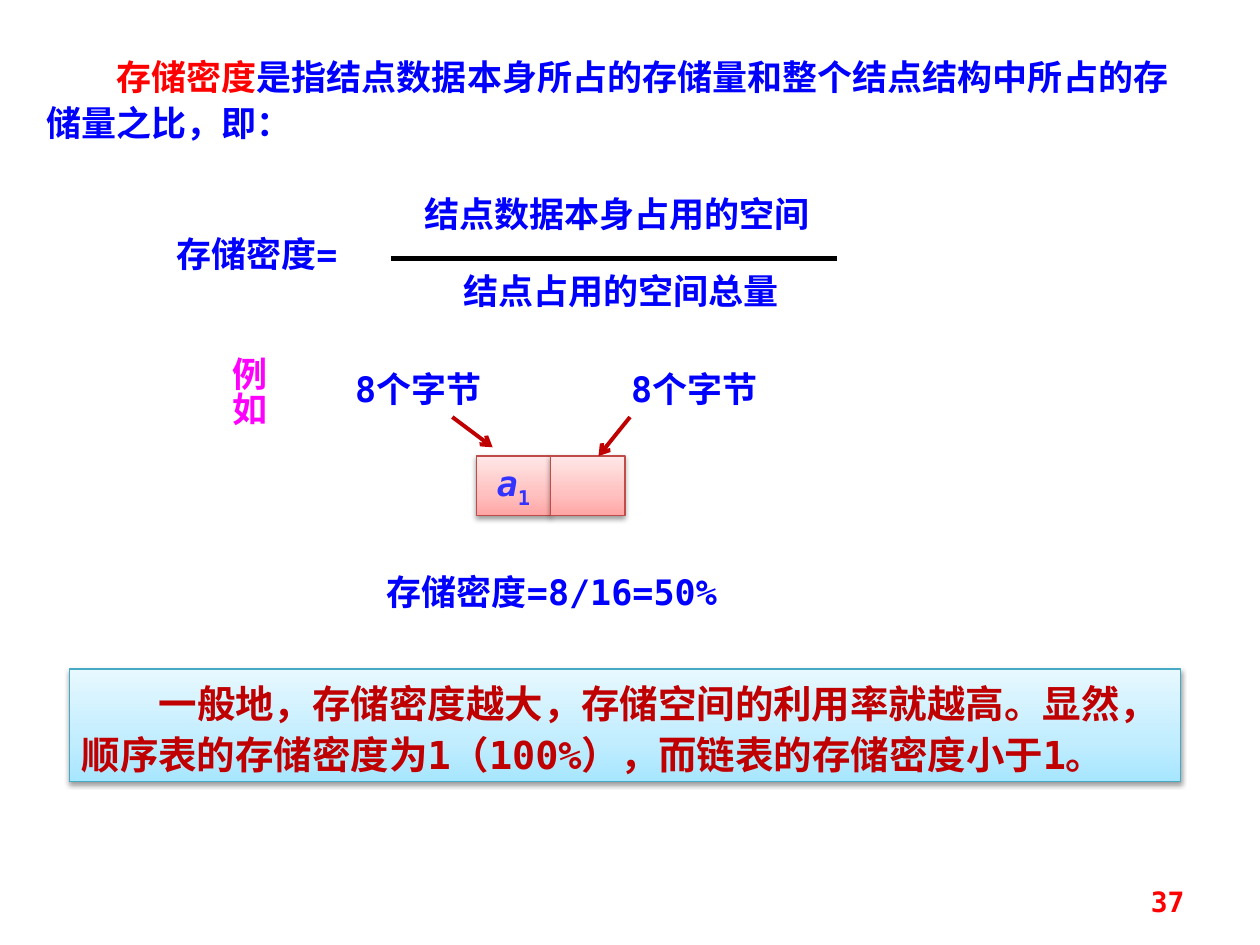
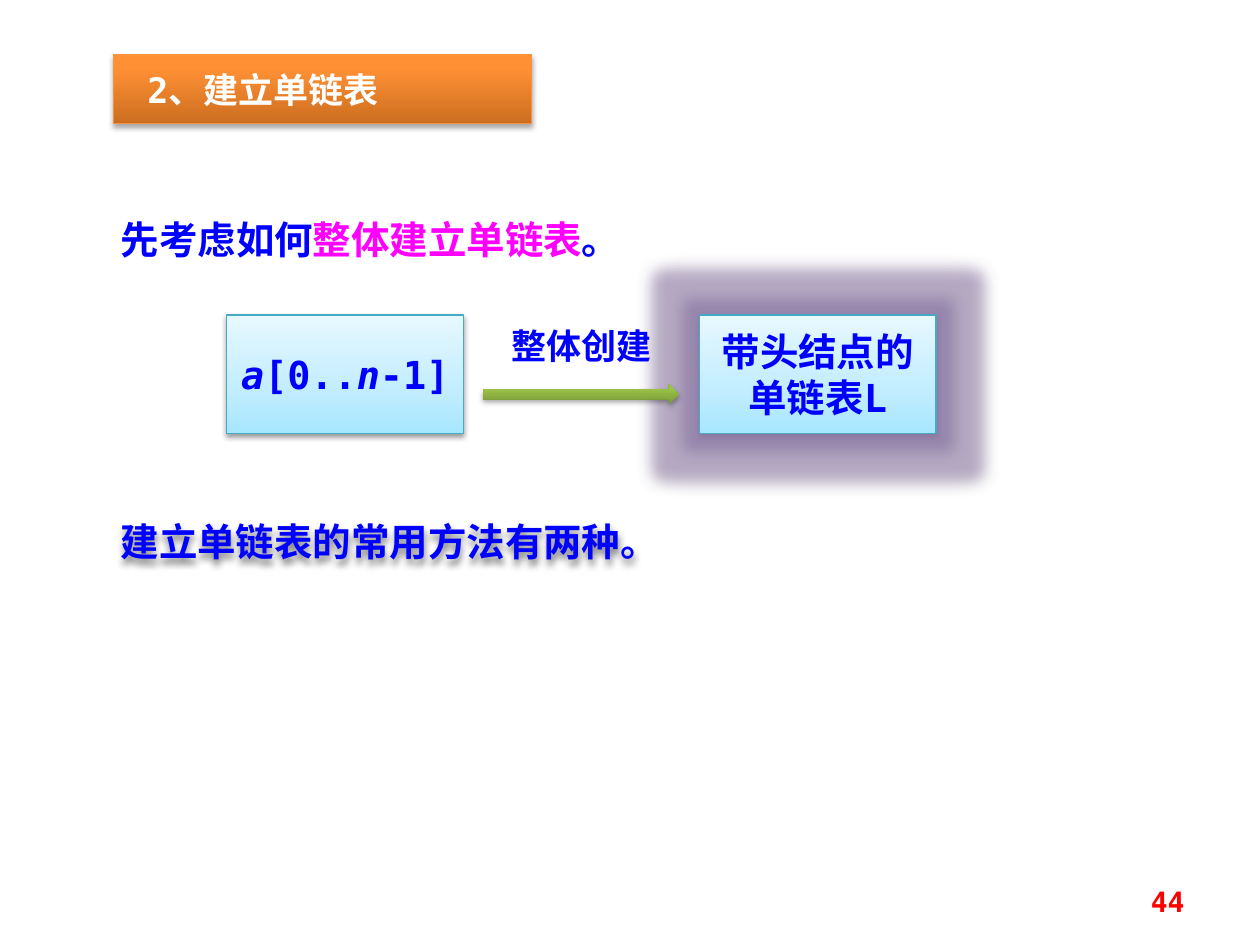
from lxml import etree
from pptx import Presentation
from pptx.dml.color import RGBColor as RGB
from pptx.enum.shapes import MSO_CONNECTOR as CONN, MSO_SHAPE as SHAPE
from pptx.enum.text import MSO_ANCHOR as ANCHOR, PP_ALIGN as ALIGN
from pptx.oxml.ns import qn
from pptx.util import Inches, Pt

FONT = "DejaVu Sans Mono"
C = dict(blue="0000FF", red="FF0000", dark_red="C00000", pink="FF00FF",
         indigo="3333FF", white="FFFFFF", black="000000", glow="8064A2")

SKY = dict(stops=[(0, "A7E6FF"), (35, "C1EDFF"), (100, "E7F8FF")],
           line="46AAC5", shadow=(38, 3.1, 1.6))
ROSE = dict(stops=[(0, "FFA6A5"), (35, "FFC0BF"), (100, "FFE7E7")],
            line="BF4C48", shadow=(38, 3.1, 1.6))
ORANGE = dict(stops=[(0, "CC6E20"), (80, "FF9034"), (100, "FF9136")],
              line="F69240", shadow=(35, 3.1, 1.8))
GREEN = dict(stops=[(0, "779737"), (80, "9BC348"), (100, "9DC746")],
             line=None, shadow=(35, 3.1, 1.8))

DEFINITION = [("存储密度", dict(color="red")),
              "是指结点数据本身所占的存储量和整个结点结构中所占的存储量之比，即："]
CONCLUSION = ["一般地，存储密度越大，存储空间的利用率就越高。显然，"
              "顺序表的存储密度为1（100%），而链表的存储密度小于1。"]
FORMULA = [("存储密度=", (1.3, 1.8, 2.13, 0.44)),
           ("结点数据本身占用的空间", (3.27, 1.48, 4.17, 0.44)),
           ("结点占用的空间总量", (3.58, 2.09, 3.54, 0.44)),
           ("存储密度=8/16=50%", (2.97, 4.48, 3.05, 0.44))]
NODE = [[("a", dict(italic=True, color="indigo")),
         ("1", dict(base=-25, color="indigo"))], []]
NODE_BOX = (3.78, 3.62, 0.59, 0.47)
BYTE_LABELS = [("8个字节", 2.58), ("8个字节", 4.77)]
BYTE_ARROWS = [(3.59, 3.31, 3.91, 3.55), (5, 3.31, 4.75, 3.62)]

HEADING = ["2、建立单链表"]
INTRO = ["先考虑如何", ("整体建立单链表", dict(color="pink")), "。"]
ARRAY = [("a", dict(italic=True)), "[0..", ("n", dict(italic=True)), "-1]"]
LIST = ["带头结点的单链表L"]
METHODS = ["建立单链表的常用方法有两种。"]


def sub(parent, tag, **attrs):
    return etree.SubElement(parent, qn(tag), {k: str(v) for k, v in attrs.items()})


def tint(parent, color, alpha):
    sub(sub(parent, "a:srgbClr", val=color), "a:alpha", val=alpha * 1000)


def write(sp, runs, size=20, color="blue", align=ALIGN.LEFT, anchor=ANCHOR.TOP,
          spacing=1, indent=0, left=0.1, bold=True, wrap=True, vert=None):
    tf = sp.text_frame
    tf.word_wrap = wrap
    tf.vertical_anchor = anchor
    tf.margin_left, tf.margin_right = Inches(left), Inches(0.1)
    tf.margin_top = tf.margin_bottom = Inches(0.05)
    if vert:
        tf._txBody.bodyPr.set("vert", vert)
    p = tf.paragraphs[0]
    p.alignment, p.line_spacing = align, spacing
    if indent:
        p._p.get_or_add_pPr().set("indent", str(Pt(indent)))
    for run in runs:
        text, fmt = (run, {}) if isinstance(run, str) else run
        r = p.add_run()
        r.text = text
        f = r.font
        f.name, f.size, f.bold = FONT, Pt(size), bold
        f.italic = fmt.get("italic", False)
        f.color.rgb = RGB.from_string(C[fmt.get("color", color)])
        rPr = r._r.get_or_add_rPr()
        sub(rPr, "a:ea", typeface=FONT)
        if "base" in fmt:
            rPr.set("baseline", str(fmt["base"] * 1000))
    return sp


def place(sp, box):
    sp.left, sp.top, sp.width, sp.height = map(Inches, box)


def add_text(s, runs, box, **fmt):
    return write(s.shapes.add_textbox(*map(Inches, box)), runs, **fmt)


def add_effects(sp, shadow, glow=None):
    alpha, blur, dist = shadow
    sp.shadow.inherit = False
    effects = sp._element.spPr.find(qn("a:effectLst"))
    if glow:
        tint(sub(effects, "a:glow", rad=Pt(glow)), C["glow"], 40)
    outer = sub(effects, "a:outerShdw", blurRad=Pt(blur), dist=Pt(dist),
                dir=5400000, rotWithShape=0)
    tint(outer, C["black"], alpha)


def paint(sp, style, glow=None):
    sp.fill.gradient()
    sp.fill.gradient_angle = 90
    stops = sp._element.spPr.find(qn("a:gradFill")).find(qn("a:gsLst"))
    for old in list(stops):
        stops.remove(old)
    for pos, color in style["stops"]:
        sub(sub(stops, "a:gs", pos=pos * 1000), "a:srgbClr", val=color)
    if style["line"]:
        sp.line.color.rgb = RGB.from_string(style["line"])
        sp.line.width = Pt(0.75)
    else:
        sp.line.fill.background()
    add_effects(sp, style["shadow"], glow)


def add_box(s, runs, box, style, kind=SHAPE.RECTANGLE, glow=None, **fmt):
    sp = s.shapes.add_shape(kind, *map(Inches, box))
    paint(sp, style, glow)
    if runs:
        write(sp, runs, **fmt)
    return sp


def add_line(s, ends, color, width, head=None):
    cx = s.shapes.add_connector(CONN.STRAIGHT, *map(Inches, ends))
    cx.line.color.rgb = RGB.from_string(C[color])
    cx.line.width = Pt(width)
    if head:
        sub(cx.line._get_or_add_ln(), "a:tailEnd", type=head)
    sub(cx._element.spPr, "a:effectLst")


def add_number(s, number):
    add_text(s, [number], (7.17, 6.95, 2.33, 0.4), size=16, color="red",
             align=ALIGN.RIGHT, anchor=ANCHOR.MIDDLE)


def density_slide(prs):
    s = prs.slides.add_slide(prs.slide_layouts[6])
    add_text(s, DEFINITION, (0.27, 0.36, 9.29, 0.99), spacing=1.1, indent=40)
    add_box(s, CONCLUSION, (0.55, 5.31, 8.82, 0.89), SKY, size=22,
            color="dark_red", spacing=1.1, indent=44)
    for text, box in FORMULA:
        add_text(s, [text], box)
    add_line(s, (3.1, 2.05, 6.64, 2.05), "black", 3)
    x, y, w, h = NODE_BOX
    for i, runs in enumerate(NODE):
        add_box(s, runs, (x + i * w, y, w, h), ROSE, align=ALIGN.CENTER,
                anchor=ANCHOR.MIDDLE, wrap=False)
    for text, left in BYTE_LABELS:
        add_text(s, [text], (left, 2.87, 1.48, 0.44), align=ALIGN.CENTER)
    for ends in BYTE_ARROWS:
        add_line(s, ends, "dark_red", 2.25, "arrow")
    add_text(s, ["例如"], (1.58, 2.73, 0.61, 1.02), color="pink",
             align=ALIGN.CENTER, vert="eaVert")
    add_number(s, "37")


def build_list_slide(prs):
    s = prs.slides.add_slide(prs.slide_layouts[5])
    title = s.shapes.title
    place(title, (0.9, 0.43, 3.32, 0.55))
    paint(title, ORANGE)
    write(title, HEADING, color="white", spacing=1.2, left=0.27)
    add_text(s, INTRO, (0.86, 1.48, 4.72, 0.59), size=22, spacing=1.5,
             align=ALIGN.JUSTIFY)
    for runs, left, glow in [(ARRAY, 1.8, None), (LIST, 5.55, 18)]:
        add_box(s, runs, (left, 2.5, 1.88, 0.94), SKY, glow=glow, size=22,
                align=ALIGN.CENTER, anchor=ANCHOR.MIDDLE)
    add_box(s, [], (3.83, 3.05, 1.56, 0.16), GREEN, SHAPE.RIGHT_ARROW)
    add_text(s, ["整体创建"], (3.91, 2.53, 1.41, 0.44), align=ALIGN.CENTER)
    methods = add_text(s, METHODS, (0.86, 4.06, 5, 0.47), size=22)
    add_effects(methods, (50, 4, 3))
    add_number(s, "44")


def main():
    prs = Presentation()
    prs.slide_width, prs.slide_height = Inches(10), Inches(7.5)
    density_slide(prs)
    build_list_slide(prs)
    prs.save("out.pptx")


if __name__ == "__main__":
    main()
